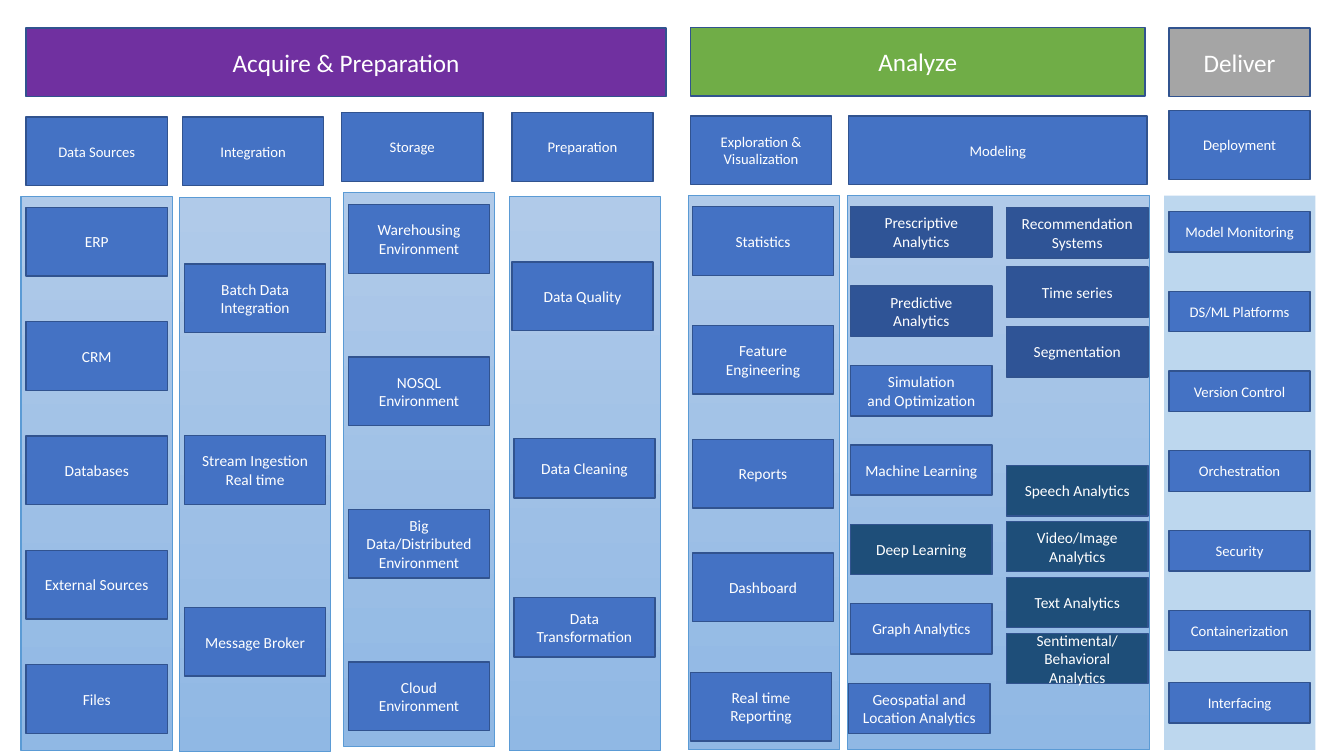
from dataclasses import dataclass

from pptx import Presentation
from pptx import util as u
from pptx.dml import color, fill as dml_fill
from pptx.enum import shapes, text
from pptx.shapes import autoshape
from pptx.slide import Slide

FONT = "Calibri"
WHITE = "FFFFFF"
BLUE = "4472C4"
NAVY = "2F5496"
TEAL = "1E4E79"
PURPLE = "7030A0"
GREEN = "70AD47"
GREY = "A5A5A5"
BOX_EDGE = "31538F"
PANEL_EDGE = "5B9BD5"
PANEL_TOP = "B0CAE9"
PANEL_BOTTOM = "90B8E4"
DELIVER_PANEL = "BDD7EE"

COLUMN_WIDTH = 3.56
TALL, MEDIUM, SHORT, SLIM = 1.73, 1.5, 1.27, 1.02
PANEL_HEIGHT = 13.97


@dataclass(frozen=True)
class Panel:
    left: float
    top: float
    width: float = 3.81
    flat_fill: str = ""


@dataclass(frozen=True)
class Stack:
    left: float
    top: float
    labels: tuple[str, ...]
    pitch: float = 0
    width: float = COLUMN_WIDTH
    height: float = TALL
    fill: str = BLUE
    size: float = 11


PANELS = (
    Panel(0.53, 4.95),
    Panel(4.52, 4.98),
    Panel(8.66, 4.85),
    Panel(12.83, 4.95),
    Panel(17.35, 4.93),
    Panel(21.36, 4.93, width=7.62),
    Panel(29.34, 4.93, flat_fill=DELIVER_PANEL),
)

PHASES = (
    Stack(0.66, 0.71, ("Acquire & Preparation",), width=16.13, fill=PURPLE, size=18),
    Stack(17.4, 0.69, ("Analyze",), width=11.46, fill=GREEN, size=18),
    Stack(29.46, 0.71, ("Deliver",), fill=GREY, size=18),
)

STAGES = (
    Stack(0.66, 2.95, ("Data Sources",), size=10.5),
    Stack(4.6, 2.95, ("Integration",), size=10.5),
    Stack(8.61, 2.84, ("Storage",), size=10.5),
    Stack(12.9, 2.84, ("Preparation",), size=10.5),
    Stack(17.4, 2.92, ("Exploration &\nVisualization",), size=10.5),
    Stack(21.39, 2.92, ("Modeling",), width=7.52, size=10.5),
    Stack(29.46, 2.79, ("Deployment",), size=10.5),
)

ACQUISITION = (
    Stack(0.66, 5.23, ("ERP", "CRM", "Databases", "External Sources", "Files"), 2.88),
    Stack(4.65, 6.65, ("Batch Data Integration", "Stream Ingestion Real time",
                       "Message Broker"), 4.33),
    Stack(8.78, 5.16, ("Warehousing\nEnvironment", "NOSQL Environment",
                       "Big Data/Distributed Environment",
                       "Cloud\nEnvironment"), 3.84),
    Stack(12.9, 6.6, ("Data Quality",)),
    Stack(12.95, 11.05, ("Data Cleaning", "Data Transformation"), 4.01, height=MEDIUM),
)

EXPLORATION = (
    Stack(17.45, 5.21, ("Statistics",)),
    Stack(17.45, 8.2, ("Feature Engineering", "Reports", "Dashboard"), 2.87),
    Stack(17.4, 16.94, ("Real time Reporting",)),
)

MODELING = (
    Stack(21.44, 5.21, ("Prescriptive Analytics", "Predictive Analytics"), 2,
          height=SHORT, fill=NAVY),
    Stack(21.44, 9.21, ("Simulation\nand Optimization", "Machine Learning"), 2,
          height=SHORT),
    Stack(21.44, 13.21, ("Deep Learning",), height=SHORT, fill=TEAL),
    Stack(21.44, 15.21, ("Graph Analytics",), height=SHORT),
    Stack(21.39, 17.22, ("Geospatial and\nLocation Analytics",), height=SHORT),
    Stack(25.37, 5.23, ("Recommendation Systems", "Time series", "Segmentation"), 1.5,
          height=SHORT, fill=NAVY),
    Stack(25.37, 11.73, ("Speech Analytics", "Video/Image Analytics", "Text Analytics",
                         "Sentimental/ Behavioral Analytics"), 1.41,
          height=SHORT, fill=TEAL),
)

DEPLOYMENT = (
    Stack(29.46, 5.33, ("Model Monitoring", "DS/ML Platforms", "Version Control",
                        "Orchestration", "Security", "Containerization"), 2.01,
          height=SLIM, size=10.5),
    Stack(29.46, 17.2, ("Interfacing",), height=SLIM, size=10.5),
)


def paint(target: dml_fill.FillFormat, hex_color: str) -> None:
    target.solid()
    target.fore_color.rgb = color.RGBColor.from_string(hex_color)


def add_rectangle(slide: Slide, left: float, top: float, width: float,
                  height: float) -> autoshape.Shape:
    rectangle = slide.shapes.add_shape(
        shapes.MSO_SHAPE.RECTANGLE, u.Cm(left), u.Cm(top), u.Cm(width), u.Cm(height))
    rectangle.shadow.inherit = False
    return rectangle


def write_text(shape: autoshape.Shape, label: str, *, size: float,
               hex_color: str = WHITE, font: str = FONT) -> None:
    frame = shape.text_frame
    frame.word_wrap = True
    frame.vertical_anchor = text.MSO_ANCHOR.MIDDLE
    frame.text = label
    for paragraph in frame.paragraphs:
        paragraph.alignment = text.PP_ALIGN.CENTER
        for run in paragraph.runs:
            run.font.name = font
            run.font.size = u.Pt(size)
            paint(run.font.fill, hex_color)


def draw_panel(slide: Slide, panel: Panel) -> None:
    backdrop = add_rectangle(slide, panel.left, panel.top, panel.width, PANEL_HEIGHT)
    if panel.flat_fill:
        paint(backdrop.fill, panel.flat_fill)
        backdrop.line.fill.background()
        return
    backdrop.fill.gradient()
    backdrop.fill.gradient_angle = 270
    for stop, shade in zip(backdrop.fill.gradient_stops, (PANEL_TOP, PANEL_BOTTOM)):
        stop.color.rgb = color.RGBColor.from_string(shade)
    paint(backdrop.line.fill, PANEL_EDGE)
    backdrop.line.width = u.Pt(0.75)


def draw_stack(slide: Slide, stack: Stack) -> None:
    for row, label in enumerate(stack.labels):
        box = add_rectangle(slide, stack.left, stack.top + row * stack.pitch,
                            stack.width, stack.height)
        paint(box.fill, stack.fill)
        paint(box.line.fill, BOX_EDGE)
        box.line.width = u.Pt(1)
        write_text(box, label, size=stack.size)


def main() -> None:
    deck = Presentation()
    deck.slide_width, deck.slide_height = u.Cm(33.87), u.Cm(19.05)
    slide = deck.slides.add_slide(deck.slide_layouts[6])
    for panel in PANELS:
        draw_panel(slide, panel)
    for stack in PHASES + STAGES + ACQUISITION + EXPLORATION + MODELING + DEPLOYMENT:
        draw_stack(slide, stack)
    deck.save("out.pptx")


if __name__ == "__main__":
    main()
